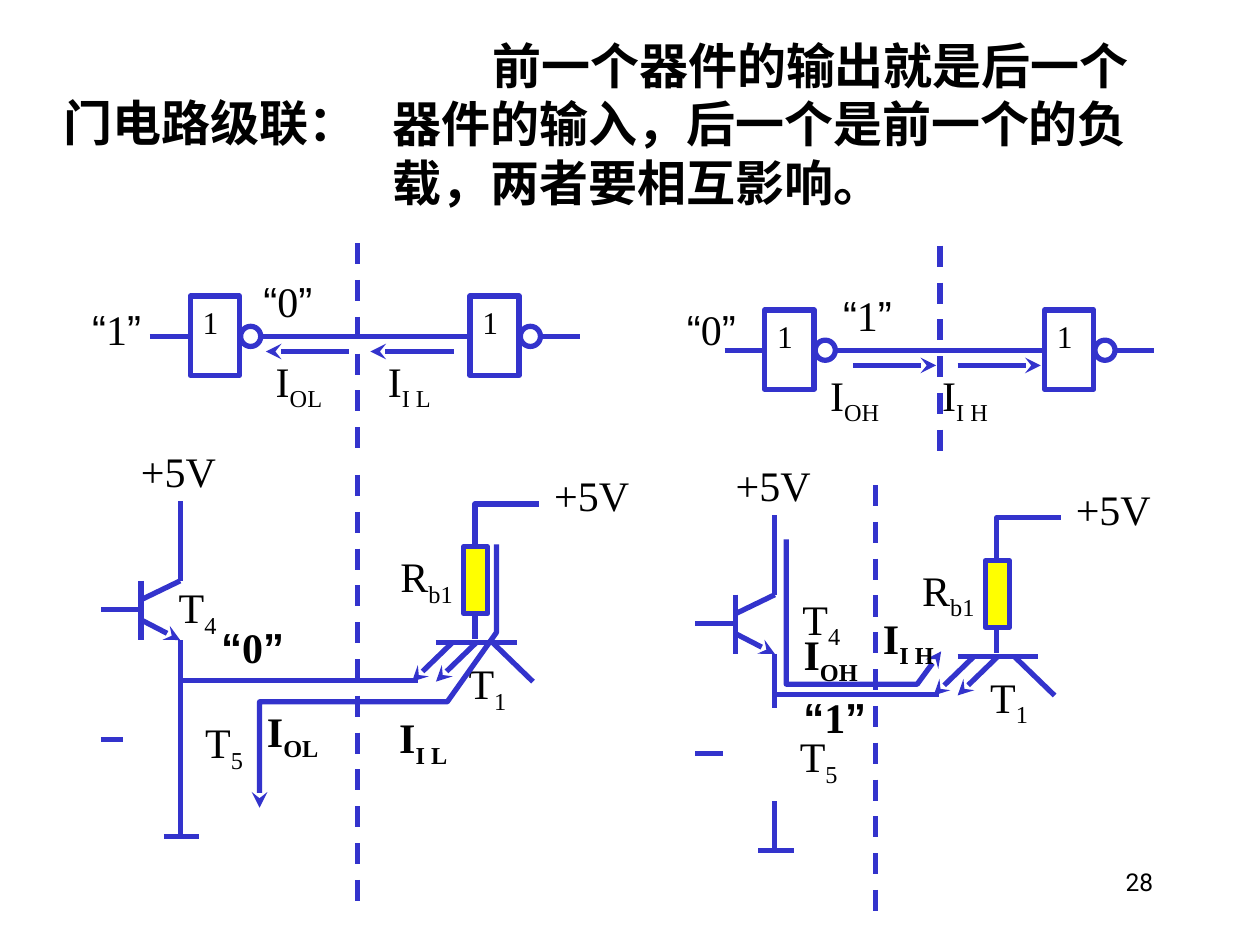
from pptx import Presentation
from pptx.dml.color import RGBColor
from pptx.enum import dml, shapes, text
from pptx.oxml.ns import qn
from pptx.util import Inches, Pt
from lxml import etree

BLUE = RGBColor(0x33, 0x33, 0xCC)
YELLOW = RGBColor(0xFF, 0xFF, 0x00)
BLACK = RGBColor(0, 0, 0)
SERIF, SANS = "Times New Roman", "Arial"
LEFT, RIGHT = text.PP_ALIGN.LEFT, text.PP_ALIGN.RIGHT
MID = text.PP_ALIGN.CENTER


def ink(shape, arrow=False, dash=False):
    """Gives a shape or line the blue stroke, with an arrowhead at its end if asked."""
    shape.line.color.rgb = BLUE
    shape.line.width = Pt(3)
    if dash:
        shape.line.dash_style = dml.MSO_LINE.DASH
    if arrow:
        edge = shape.line._get_or_add_ln()
        etree.SubElement(edge, qn("a:tailEnd"), type="stealth")


def wire(slide, box, start, end, arrow=False, dash=False):
    x, y = box
    line = slide.shapes.add_connector(
        shapes.MSO_CONNECTOR.STRAIGHT,
        Inches(x + start[0]), Inches(y + start[1]),
        Inches(x + end[0]), Inches(y + end[1]))
    ink(line, arrow, dash)
    etree.SubElement(line._element.spPr, qn("a:effectLst"))


def route(slide, box, points, arrow=False):
    x, y = box
    spots = [(Inches(x + a), Inches(y + b)) for a, b in points]
    pen = slide.shapes.build_freeform(*spots[0])
    pen.add_line_segments(spots[1:], close=False)
    shape = pen.convert_to_shape()
    shape.fill.background()
    shape.shadow.inherit = False
    ink(shape, arrow)


def solid(slide, box, kind, place, size, fill=None):
    x, y = box
    shape = slide.shapes.add_shape(
        kind, Inches(x + place[0]), Inches(y + place[1]),
        Inches(size[0]), Inches(size[1]))
    shape.shadow.inherit = False
    if fill is None:
        shape.fill.background()
    else:
        shape.fill.solid()
        shape.fill.fore_color.rgb = fill
    ink(shape)


def label(slide, box, place, words, sub="", size=24, bold=False,
          width=0.95, height=0.5, align=LEFT, font=SERIF):
    """Writes words and a subscript; quotation marks are set in the sans font."""
    area = slide.shapes.add_textbox(
        Inches(box[0] + place[0]), Inches(box[1] + place[1]),
        Inches(width), Inches(height))
    frame = area.text_frame
    frame.word_wrap = True
    para = frame.paragraphs[0]
    para.alignment = align
    parts = list(words) if words[0] == "“" else [words]
    for part in parts + ([sub] if sub else []):
        run = para.add_run()
        run.text = part
        run.font.size = Pt(size)
        run.font.bold = bold
        run.font.name = SANS if part in "“”" else font
        run.font.color.rgb = BLACK
    if sub:
        run._r.get_or_add_rPr().set("baseline", "-25000")
    return frame


def heading(slide, box):
    title = label(slide, box, (0, 0.44), "门电路级联：", size=28, bold=True,
                  width=2.56, height=0.59)
    title.vertical_anchor = text.MSO_ANCHOR.MIDDLE
    note = label(slide, box, (2.61, 0),
                 "前一个器件的输出就是后一个器件的输入，后一个是前一个的负载，两者要相互影响。",
                 size=28, bold=True, width=6.28, height=1.5)
    props = note.paragraphs[0]._p.get_or_add_pPr()
    props.set("marL", "0")
    props.set("indent", str(Inches(0.79)))


def gates(slide, box):
    """Draws two inverters in a row, joined by a wire."""
    for x in (0, 2.22):
        solid(slide, box, shapes.MSO_SHAPE.RECTANGLE, (x, 0), (0.39, 0.63))
        solid(slide, box, shapes.MSO_SHAPE.OVAL, (x + 0.4, 0.24), (0.16, 0.16))
        label(slide, box, (x, 0.01), "1", size=18, width=0.45, height=0.4)
    for start, end in ((-0.32, 0), (0.55, 2.23), (2.77, 3.09)):
        wire(slide, box, (start, 0.32), (end, 0.32))


def flow(slide, box, names, begin, reverse):
    """Draws the two current arrows below a row of gates, with their names."""
    for i, name in enumerate(names):
        x = begin + 0.83 * i
        ends = [(x, 0.44), (x + 0.66, 0.44)]
        if reverse:
            ends.reverse()
        wire(slide, box, *ends, arrow=True)
        label(slide, box, (begin - 0.02 - (0 if reverse else 0.26) + 0.89 * i, 0.42),
              "I", name, width=0.9)


def driver(slide, box, name, stub, signal, gap):
    """Draws the output stage; gap is the open part of its lower wire, if any."""
    wire(slide, box, (0, 0), (0, 0.47))
    wire(slide, box, (0, 0.31), (0.31, 0.47), arrow=True)
    wire(slide, box, (0, 0.15), (0.31, 0))
    wire(slide, box, (0, 0.23), (-0.32, 0.23))
    wire(slide, box, (-0.32, 1.26), (stub, 1.26))
    wire(slide, box, (0.31, 0), (0.31, -0.63))
    cuts = [0.47, *gap, 2.04]
    for top, low in zip(cuts[::2], cuts[1::2]):
        wire(slide, box, (0.31, top), (0.31, low))
    wire(slide, box, (0.18, 2.03), (0.46, 2.03))
    wire(slide, box, (0.31, 0.79), (signal, 0.79))
    label(slide, box, name, "T", "4", width=0.74)
    label(slide, box, (0.41, 1.03), "T", "5", width=0.74)
    label(slide, box, (-0.1, -1.12), "+5V", width=1.45)


def load(slide, box):
    """Draws the input stage with its base resistor."""
    for x in (0.13, 0.32):
        wire(slide, box, (x, 0), (x - 0.32, 0.31), arrow=True)
    wire(slide, box, (0, 0), (0.64, 0))
    wire(slide, box, (0.45, 0), (0.77, 0.31))
    wire(slide, box, (0.31, -0.03), (0.31, -0.66))
    route(slide, box, [(0.31, -0.4), (0.31, -1.1), (0.82, -1.1)])
    solid(slide, box, shapes.MSO_SHAPE.RECTANGLE, (0.22, -0.76), (0.19, 0.53), YELLOW)
    label(slide, box, (0.16, 0.07), "T", "1", width=0.72)
    label(slide, box, (0.84, -1.42), "+5V", width=1.26)
    label(slide, box, (-0.38, -0.78), "R", "b1", width=0.87)


def low(slide, box):
    """Draws the half where the first gate puts out 0."""
    row = box[0] + 1.51, box[1] + 2.35
    gates(slide, row)
    flow(slide, row, ("OL", "I L"), 0.6, True)
    label(slide, row, (-1.06, 0.01), "“1”", align=MID)
    label(slide, row, (0.3, -0.21), "“0”", align=MID)
    wire(slide, box, (2.84, 1.93), (2.84, 3.59), dash=True)
    wire(slide, box, (2.84, 3.77), (2.84, 7.24), dash=True)
    driver(slide, (box[0] + 1.12, box[1] + 4.61), (0.2, -0.04), -0.14, 2.2, ())
    load(slide, (box[0] + 3.46, box[1] + 5.1))
    route(slide, box, [(3.94, 4.32), (3.94, 5.02), (3.55, 5.57),
                       (2.06, 5.57), (2.06, 6.41)], arrow=True)
    label(slide, box, (1.53, 4.88), "“0”", bold=True, align=MID)
    label(slide, box, (3.07, 5.6), "I", "I L", bold=True)
    label(slide, box, (2.02, 5.55), "I", "OL", bold=True)


def high(slide, box):
    """Draws the half where the first gate puts out 1."""
    row = box[0] + 0.9, box[1] + 0.51
    gates(slide, row)
    flow(slide, row, ("OH", "I H"), 0.7, False)
    label(slide, row, (-0.9, -0.1), "“0”", align=MID)
    label(slide, row, (0.34, -0.21), "“1”", align=MID)
    wire(slide, box, (2.29, 0), (2.29, 1.66), dash=True)
    wire(slide, box, (1.78, 1.9), (1.78, 5.36), dash=True)
    driver(slide, (box[0] + 0.67, box[1] + 2.77), (0.43, -0.06), -0.1, 1.61,
           (0.9, 1.64))
    load(slide, (box[0] + 2.43, box[1] + 3.26))
    route(slide, box, [(1.07, 2.33), (1.07, 3.48), (2.11, 3.48), (2.3, 3.22)],
          arrow=True)
    label(slide, box, (0.98, 3.49), "“1”", bold=True, align=MID)
    label(slide, box, (1.11, 2.99), "I", "OH", bold=True, width=0.83)
    label(slide, box, (1.74, 2.86), "I", "I H", bold=True, width=0.83)


def main():
    deck = Presentation()
    deck.slide_width, deck.slide_height = Inches(10), Inches(7.5)
    slide = deck.slides.add_slide(deck.slide_layouts[6])
    heading(slide, (0.41, 0.23))
    low(slide, (0, 0))
    high(slide, (5.17, 1.95))
    label(slide, (7.17, 6.83), (0, 0), "28", size=14, width=2.08,
          align=RIGHT, font="Roboto")
    deck.save("out.pptx")


if __name__ == "__main__":
    main()
